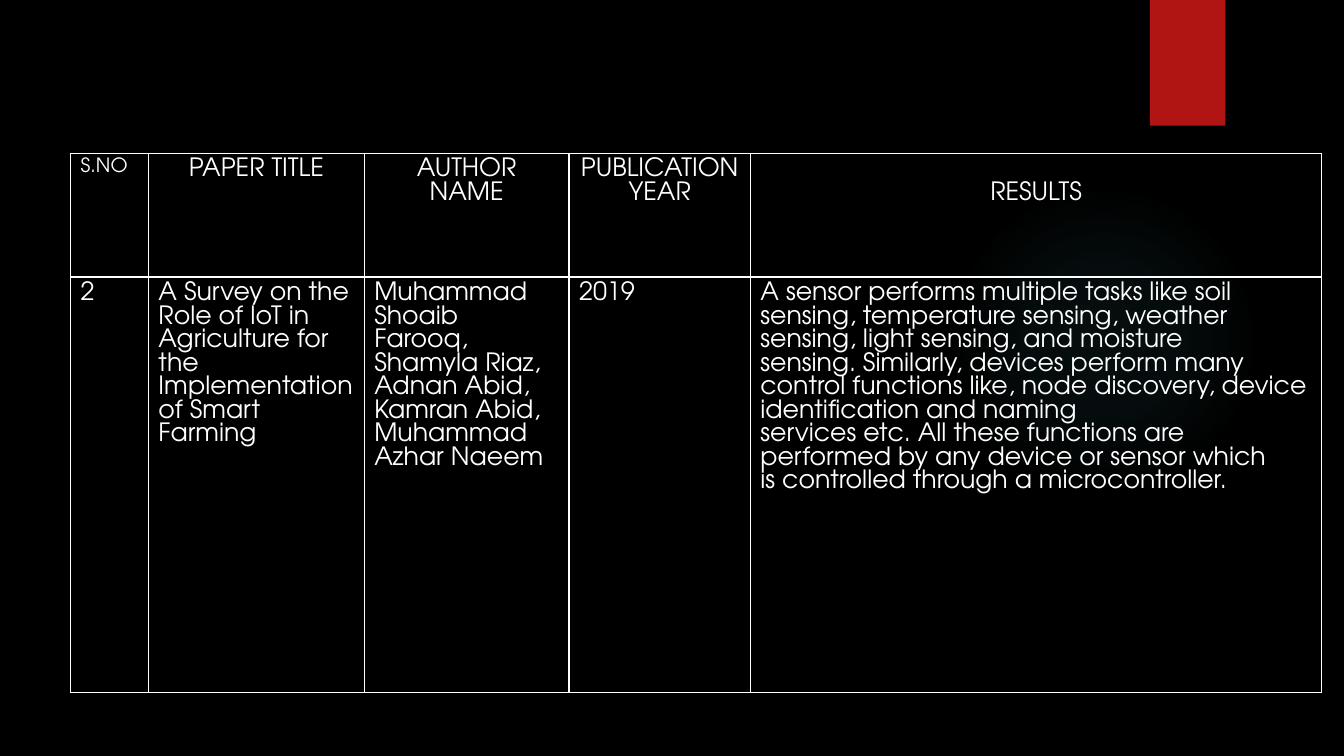
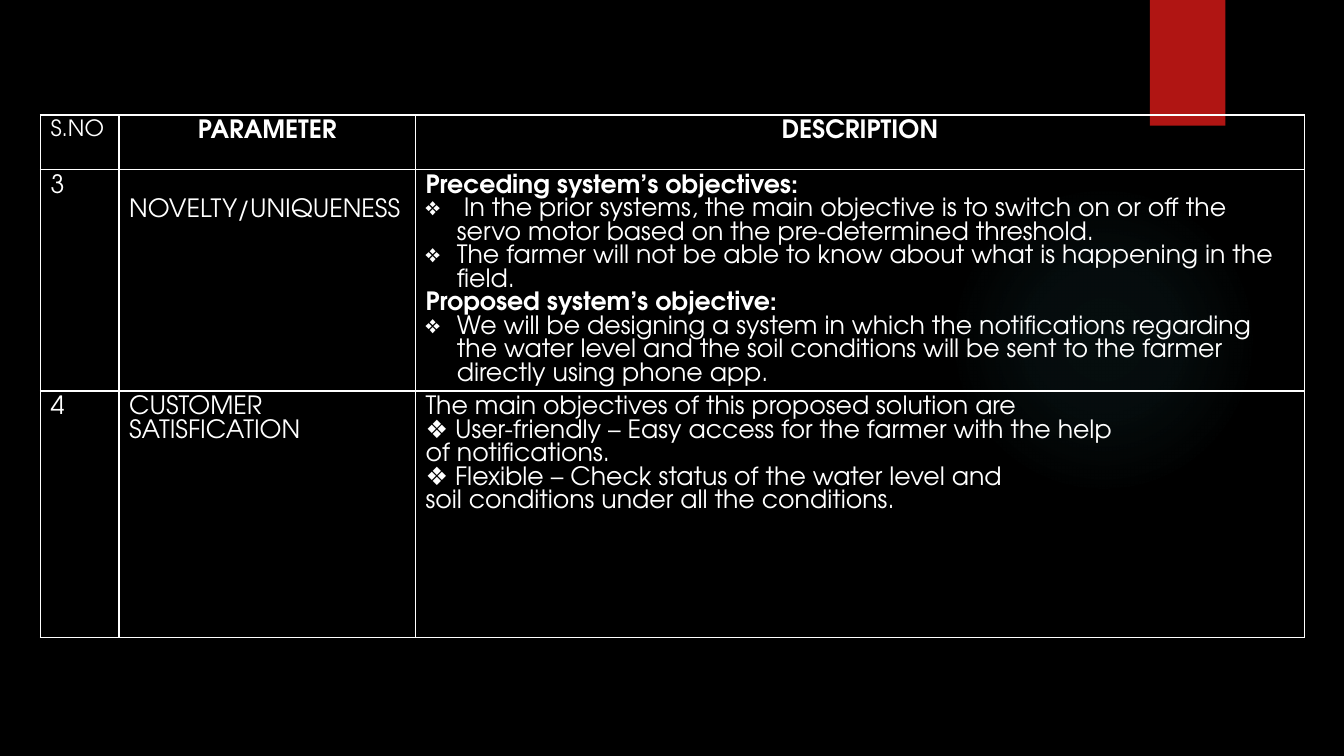
from pptx import Presentation
from pptx.dml.color import RGBColor
from pptx.enum import shapes, text
from pptx.oxml import parse_xml
from pptx.oxml.ns import nsdecls, qn
from pptx.util import Cm, Pt

FONT = "TeX Gyre Adventor"
BLACK, WHITE, RED, TEAL = "000000", "FFFFFF", "B01513", "50B9C1"
CENTER = text.PP_ALIGN.CENTER
LINE = Pt(17)  # height of one text line
HANG = Cm(0.79)  # hanging indent of bullets


def rgb(value):
    return RGBColor.from_string(value)


def add_xml(parent, xml):
    """Append a DrawingML element, given as text with at least one attribute."""
    parent.append(parse_xml(xml.replace(" ", f" {nsdecls('a')} ", 1)))


# Shared look
def plain_shape(s, kind, left, top, width, height, fill):
    sp = s.shapes.add_shape(kind, Cm(left), Cm(top), Cm(width), Cm(height))
    sp.shadow.inherit = False
    sp.line.fill.background()
    sp.fill.solid()
    sp.fill.fore_color.rgb = rgb(fill)
    return sp


def make_glow(sp, color):
    """Replace the solid fill by a faint radial gradient."""
    stops = "".join(
        f'<a:gs pos="{pos * 1000}"><a:srgbClr val="{color}">'
        f'<a:alpha val="{alpha * 1000}"/></a:srgbClr></a:gs>'
        for pos, alpha in ((0, 7), (36, 6), (69, 0)))
    grad = parse_xml(
        f'<a:gradFill {nsdecls("a")}><a:gsLst>{stops}</a:gsLst><a:path path="circle">'
        '<a:fillToRect l="50000" t="50000" r="50000" b="50000"/></a:path></a:gradFill>')
    props = sp.element.spPr
    props.replace(props.find(qn("a:solidFill")), grad)


def add_shadow(sp):
    add_xml(sp.element.spPr.find(qn("a:effectLst")),
            f'<a:outerShdw blurRad="{Pt(3)}" dist="{Pt(2)}" dir="5400000">'
            f'<a:srgbClr val="{BLACK}"><a:alpha val="45000"/></a:srgbClr></a:outerShdw>')


def style_master(prs, s):
    """Draw the glow and the ribbon once and move them to the master."""
    master = prs.slide_master
    master.background.fill.solid()
    master.background.fill.fore_color.rgb = rgb(BLACK)
    glow = plain_shape(s, shapes.MSO_SHAPE.OVAL, 23.9, 4.65, 7.82, 7.82, TEAL)
    make_glow(glow, TEAL)
    ribbon = plain_shape(s, shapes.MSO_SHAPE.RECTANGLE, 28.98, 0, 1.9, 3.17, RED)
    add_shadow(ribbon)
    for number, sp in enumerate((glow, ribbon), 100):
        sp.element.nvSpPr.cNvPr.set("id", str(number))
        master.shapes.element.append(sp.element)


# Tables
def outline(cell):
    props = cell._tc.get_or_add_tcPr()
    for side in ("lnL", "lnR", "lnT", "lnB"):
        add_xml(props, f'<a:{side} w="{Pt(1)}"><a:solidFill><a:srgbClr val="{WHITE}"/>'
                       f'</a:solidFill></a:{side}>')


def add_bullet(p):
    props = p._p.get_or_add_pPr()
    props.set("marL", str(HANG))
    props.set("indent", str(-HANG))
    add_xml(props, '<a:buChar char="❖"/>')


def fill_cell(cell, lines, size=18, bold=False, align=None, lowered=False):
    """Write one paragraph per line; "* " marks a bullet and "# " a bold line."""
    outline(cell)
    cell.fill.background()
    if lowered:
        cell.margin_top = Cm(0.13) + LINE
    tf = cell.text_frame
    for i, line in enumerate(lines.split("\n")):
        p = tf.paragraphs[0] if i == 0 else tf.add_paragraph()
        if line.startswith("* "):
            add_bullet(p)
        heading = line.startswith("# ")
        p.text = line[2:] if line.startswith(("* ", "# ")) else line
        p.alignment = align
        p.font.name = FONT
        p.font.size = Pt(size)
        p.font.bold = bold or heading
        p.font.color.rgb = rgb(WHITE)


def add_grid(s, left, top, widths, heights, rows):
    """Each cell is a string, or a pair of a string and its options."""
    table = s.shapes.add_table(len(heights), len(widths), Cm(left), Cm(top),
                               Cm(sum(widths)), Cm(sum(heights))).table
    table.first_row = table.horz_banding = False
    for column, width in zip(table.columns, widths):
        column.width = Cm(width)
    for row, height, cells in zip(table.rows, heights, rows):
        row.height = Cm(height)
        for cell, content in zip(row.cells, cells):
            lines, options = (content, {}) if isinstance(content, str) else content
            fill_cell(cell, lines, **options)


# Slides
def literature_slide(s):
    head = {"align": CENTER}
    add_grid(s, 1.78, 3.86, (1.96, 5.44, 5.16, 4.57, 14.4), (3.12, 10.46), [
        [("S.NO", {"size": 14}),
         ("PAPER TITLE", head),
         ("AUTHOR\nNAME", head),
         ("PUBLICATION\nYEAR", head),
         ("RESULTS", {"align": CENTER, "lowered": True})],
        ["2",
         "A Survey on the Role of IoT in Agriculture for the Implementation of Smart Farming",
         "Muhammad\nShoaib\nFarooq,\nShamyla Riaz,\nAdnan Abid,\nKamran Abid,\n"
         "Muhammad\nAzhar Naeem",
         "2019",
         "A sensor performs multiple tasks like soil sensing, temperature sensing, "
         "weather sensing, light sensing, and moisture\n"
         "sensing. Similarly, devices perform many control functions like, node "
         "discovery, device identification and naming\n"
         "services etc. All these functions are performed by any device or sensor which\n"
         "is controlled through a microcontroller."],
    ])


def parameter_slide(s):
    head = {"bold": True, "align": CENTER}
    add_grid(s, 1.02, 2.9, (1.98, 7.47, 22.4), (1.37, 5.23, 6.2), [
        [("S.NO", {"size": 16}), ("PARAMETER", head), ("DESCRIPTION", head)],
        ["3",
         ("NOVELTY/UNIQUENESS", {"lowered": True}),
         "# Preceding system’s objectives:\n"
         "*  In the prior systems, the main objective is to switch on or off the servo "
         "motor based on the pre-determined threshold.\n"
         "* The farmer will not be able to know about what is happening in the field.\n"
         "# Proposed system’s objective:\n"
         "* We will be designing a system in which the notifications regarding the water "
         "level and the soil conditions will be sent to the farmer directly using "
         "phone app."],
        ["4",
         "CUSTOMER SATISFICATION",
         "The main objectives of this proposed solution are\n"
         "❖ User-friendly – Easy access for the farmer with the help\n"
         "of notifications.\n"
         "❖ Flexible – Check status of the water level and\n"
         "soil conditions under all the conditions."],
    ])


def main():
    prs = Presentation()
    prs.slide_width, prs.slide_height = Cm(33.87), Cm(19.05)
    blank = prs.slide_layouts[6]
    first, second = (prs.slides.add_slide(blank) for _ in range(2))
    style_master(prs, first)
    literature_slide(first)
    parameter_slide(second)
    prs.save("out.pptx")


if __name__ == "__main__":
    main()
